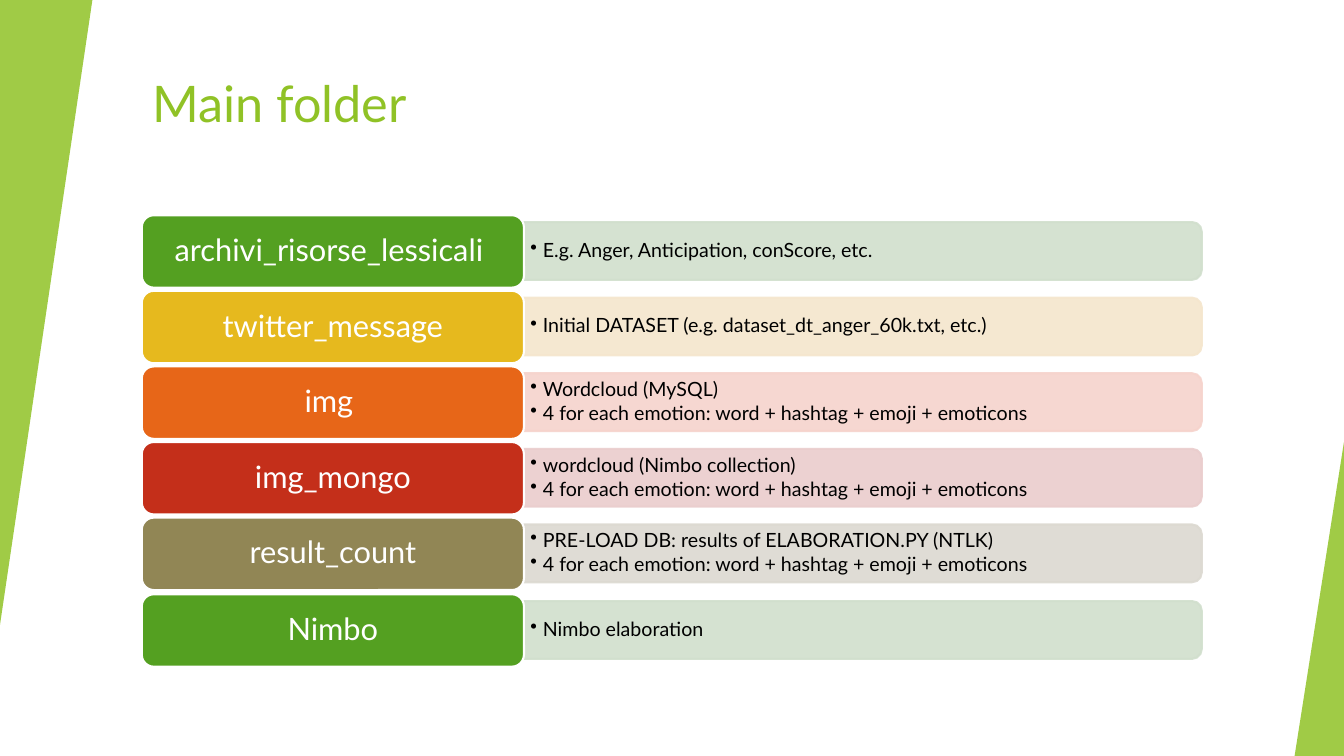
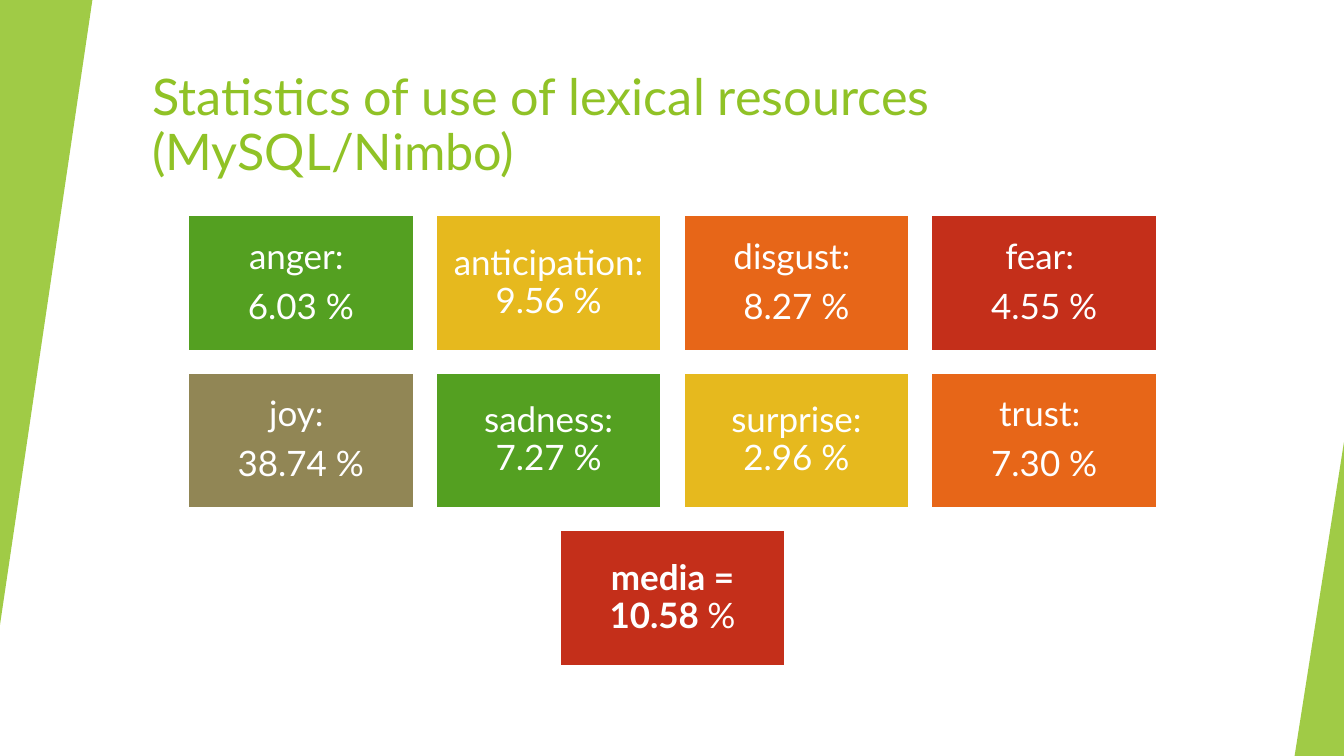
"""Build two slides: the main folder and the use of lexical resources."""
from dataclasses import dataclass
from typing import Any

from lxml.etree import SubElement
from pptx import Presentation
from pptx.dml.color import RGBColor
from pptx.enum.shapes import MSO_SHAPE
from pptx.enum.text import MSO_ANCHOR, PP_ALIGN
from pptx.oxml.ns import qn
from pptx.util import Emu, Pt

EMU_PER_PX = 9525
PAGE_WIDTH, PAGE_HEIGHT = 1280, 720
FONT = "Lato"
WHITE, BLACK, ACCENT = "FFFFFF", "000000", "90C226"
GREEN, YELLOW, ORANGE, RED, OLIVE = "54A021", "E6B91E", "E76618", "C42F1A", "918655"
FOUR_EACH = "4 for each emotion: word + hashtag + emoji + emoticons"
CONTENT_TOP = 205


@dataclass(frozen=True)
class Area:
    left: int
    top: int
    width: int
    height: int


@dataclass(frozen=True)
class Span:
    text: str
    bold: bool = False


@dataclass(frozen=True)
class TextStyle:
    size: int
    color: str
    align: PP_ALIGN = PP_ALIGN.LEFT
    anchor: MSO_ANCHOR = MSO_ANCHOR.MIDDLE
    line_spacing: float = 0.9
    space_after: float = 0
    inset: tuple[int, int] = (10, 5)
    bullet_indent: int = 0


@dataclass(frozen=True)
class Folder:
    name: str
    color: str
    tint: str
    notes: tuple[str, ...]


@dataclass(frozen=True)
class Tile:
    color: str
    paragraphs: tuple[tuple[Span, ...], ...]


TITLE = TextStyle(36, ACCENT, anchor=MSO_ANCHOR.TOP)
LABEL = TextStyle(22, WHITE, PP_ALIGN.CENTER, space_after=7.7, inset=(9, 5))
NOTE = TextStyle(14, BLACK, space_after=2.1, inset=(6, 3), bullet_indent=12)
FIGURE = TextStyle(25, WHITE, PP_ALIGN.CENTER, space_after=8.75, inset=(10, 10))

FOLDERS = (
    Folder("archivi_risorse_lessicali ", GREEN, "D1DFCD",
           ("E.g. Anger, Anticipation, conScore, etc.",)),
    Folder("twitter_message", YELLOW, "F5E6CD",
           ("Initial DATASET (e.g. dataset_dt_anger_60k.txt, etc.)",)),
    Folder("img ", ORANGE, "F6D3CC", ("Wordcloud (MySQL)", FOUR_EACH)),
    Folder("img_mongo", RED, "EACDCD", ("wordcloud (Nimbo collection)", FOUR_EACH)),
    Folder("result_count", OLIVE, "DCD9D1",
           ("PRE-LOAD DB: results of ELABORATION.PY (NTLK)", FOUR_EACH)),
    Folder("Nimbo", GREEN, "D1DFCD", ("Nimbo elaboration",)),
)

TILE_ROWS = (
    (
        Tile(GREEN, ((Span("anger: "),), (Span("6.03 %"),))),
        Tile(YELLOW, ((Span("anticipation: 9.56 %"),),)),
        Tile(ORANGE, ((Span("disgust: "),), (Span("8.27 %"),))),
        Tile(RED, ((Span("fear: "),), (Span("4.55 %"),))),
    ),
    (
        Tile(OLIVE, ((Span("joy: "),), (Span("38.74 %"),))),
        Tile(GREEN, ((Span("sadness: 7.27 %"),),)),
        Tile(YELLOW, ((Span("surprise: 2.96 %"),),)),
        Tile(ORANGE, ((Span("trust: "),), (Span("7.30 %"),))),
    ),
    (Tile(RED, ((Span("media = 10.58 ", bold=True), Span("%")),)),),
)


def px(length: int) -> Emu:
    """Turn pixels into EMU."""
    return Emu(length * EMU_PER_PX)


def rgb(color: str) -> RGBColor:
    """Turn a hex string into a colour."""
    return RGBColor.from_string(color)


def place(area: Area) -> tuple[Emu, Emu, Emu, Emu]:
    """Give the position and size of an area in EMU."""
    return px(area.left), px(area.top), px(area.width), px(area.height)


def apply_format(target: Any, values: dict[str, Any]) -> None:
    """Set each named attribute of the target."""
    for name, value in values.items():
        setattr(target, name, value)


def add_bullet(para: Any, indent: int) -> None:
    """Give a paragraph a hanging bullet."""
    properties = para._p.get_or_add_pPr()
    properties.set("marL", str(px(indent)))
    properties.set("indent", str(-px(indent)))
    SubElement(properties, qn("a:buChar")).set("char", "•")


def write(box: Any, paragraphs: tuple[tuple[Span, ...], ...], style: TextStyle) -> None:
    """Write styled paragraphs into a box."""
    frame = box.text_frame
    across, down = map(px, style.inset)
    apply_format(frame, {
        "word_wrap": True, "vertical_anchor": style.anchor,
        "margin_left": across, "margin_right": across,
        "margin_top": down, "margin_bottom": down,
    })
    for index, spans in enumerate(paragraphs):
        para = frame.add_paragraph() if index else frame.paragraphs[0]
        apply_format(para, {
            "alignment": style.align, "line_spacing": style.line_spacing,
            "space_after": Pt(style.space_after),
        })
        if style.bullet_indent:
            add_bullet(para, style.bullet_indent)
        for span in spans:
            run = para.add_run()
            run.text = span.text
            apply_format(run.font, {"name": FONT, "size": Pt(style.size), "bold": span.bold})
            run.font.color.rgb = rgb(style.color)


def add_box(page: Any, kind: MSO_SHAPE, area: Area, fill: str,
            line: str | None = None, opacity: int = 100) -> Any:
    """Draw a filled preset shape."""
    box = page.shapes.add_shape(kind, *place(area))
    box.shadow.inherit = False
    box.fill.solid()
    box.fill.fore_color.rgb = rgb(fill)
    if line:
        box.line.color.rgb = rgb(line)
        box.line.width = Pt(1.5)
    else:
        box.line.fill.background()
    if opacity < 100:
        for color in box.element.spPr.iter(qn("a:srgbClr")):
            SubElement(color, qn("a:alpha")).set("val", str(opacity * 1000))
    return box


def add_page(deck: Any, title_lines: tuple[str, ...], line_spacing: float) -> Any:
    """Add a page with its side wedges and title."""
    page = deck.slides.add_slide(deck.slide_layouts[6])
    title = page.shapes.add_textbox(*place(Area(135, 64, 1070, 115)))
    write(title, ((Span(title_lines[0]),),), TITLE)
    para = title.text_frame.paragraphs[0]
    para.line_spacing = line_spacing
    for text in title_lines[1:]:
        para.add_line_break()
        run = para.add_run()
        run.text = text
        apply_format(run.font, {"name": FONT, "size": Pt(TITLE.size)})
        run.font.color.rgb = rgb(TITLE.color)
    wedges = ((Area(0, 0, 88, 595), 180), (Area(1233, 421, 47, 299), 0))
    for area, rotation in wedges:
        wedge = add_box(page, MSO_SHAPE.ISOSCELES_TRIANGLE, area, ACCENT, opacity=85)
        wedge.adjustments[0] = 1
        wedge.rotation = rotation
    return page


def add_folder(page: Any, folder: Folder, top: int) -> None:
    """Draw a folder label and the bar with its notes."""
    label = Area(135, top, 364, 69)
    bar_left, bar_length, bar_height = label.left + label.width, 646, 55
    middle = top + label.height // 2
    upright = Area(bar_left + (bar_length - bar_height) // 2, middle - bar_length // 2,
                   bar_height, bar_length)
    bar = add_box(page, MSO_SHAPE.ROUND_2_SAME_RECTANGLE, upright,
                  folder.tint, folder.tint, opacity=90)
    bar.rotation = 90
    notes = page.shapes.add_textbox(*place(Area(bar_left, middle - 25, 643, 50)))
    write(notes, tuple((Span(note),) for note in folder.notes), NOTE)
    box = add_box(page, MSO_SHAPE.ROUNDED_RECTANGLE, label, folder.color, WHITE)
    write(box, ((Span(folder.name),),), LABEL)


def add_tile_row(page: Any, tiles: tuple[Tile, ...], top: int) -> None:
    """Draw a centred row of tiles."""
    width, height, gap = 215, 129, 21
    row_width = len(tiles) * (width + gap) - gap
    left = (PAGE_WIDTH - row_width + 1) // 2
    for index, tile in enumerate(tiles):
        area = Area(left + index * (width + gap), top, width, height)
        box = add_box(page, MSO_SHAPE.RECTANGLE, area, tile.color, WHITE)
        write(box, tile.paragraphs, FIGURE)


def main() -> None:
    """Build and save the deck."""
    deck = Presentation()
    deck.slide_width, deck.slide_height = px(PAGE_WIDTH), px(PAGE_HEIGHT)

    page = add_page(deck, ("Main folder",), 1.0)
    last_top = 566
    for index, folder in enumerate(FOLDERS):
        offset = index * (last_top - CONTENT_TOP) // (len(FOLDERS) - 1)
        add_folder(page, folder, CONTENT_TOP + offset)

    page = add_page(deck, ("Statistics of use of lexical resources", "(MySQL/Nimbo)"), 0.9)
    for index, tiles in enumerate(TILE_ROWS):
        add_tile_row(page, tiles, CONTENT_TOP + index * 150)

    deck.save("out.pptx")


if __name__ == "__main__":
    main()
